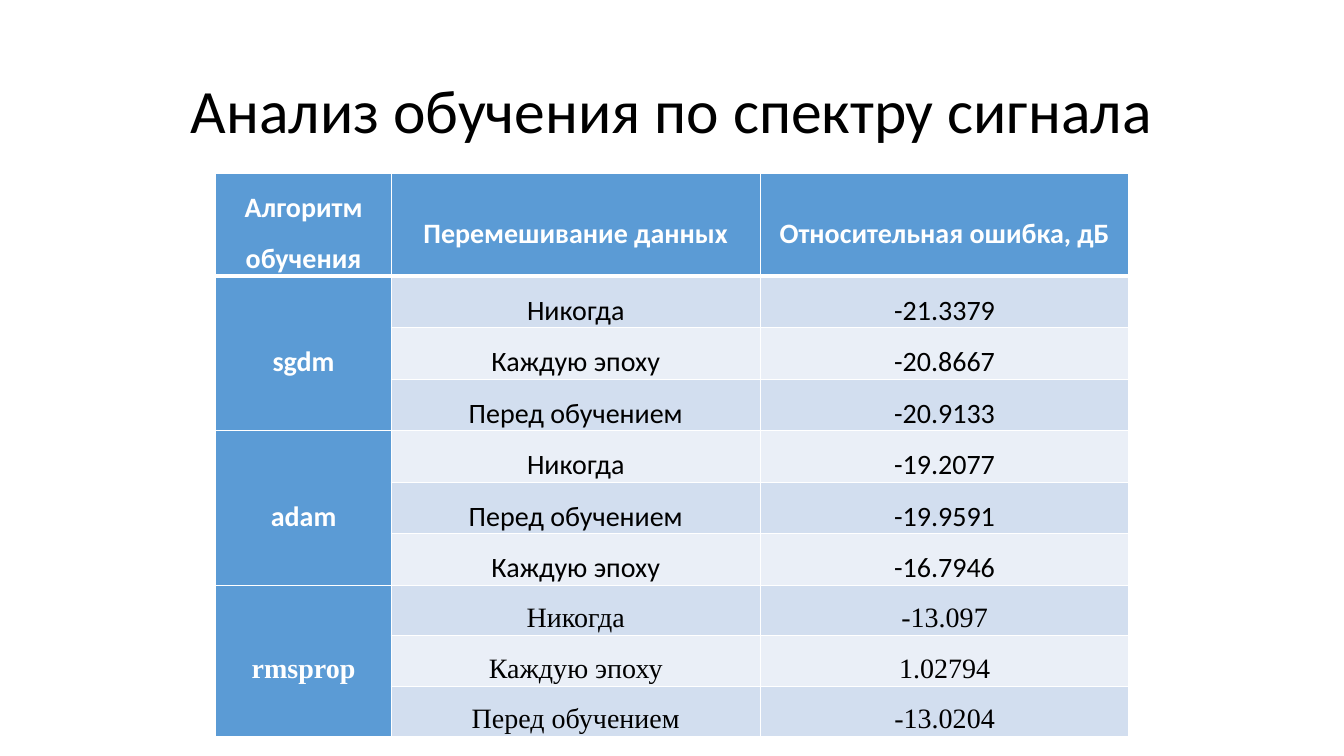
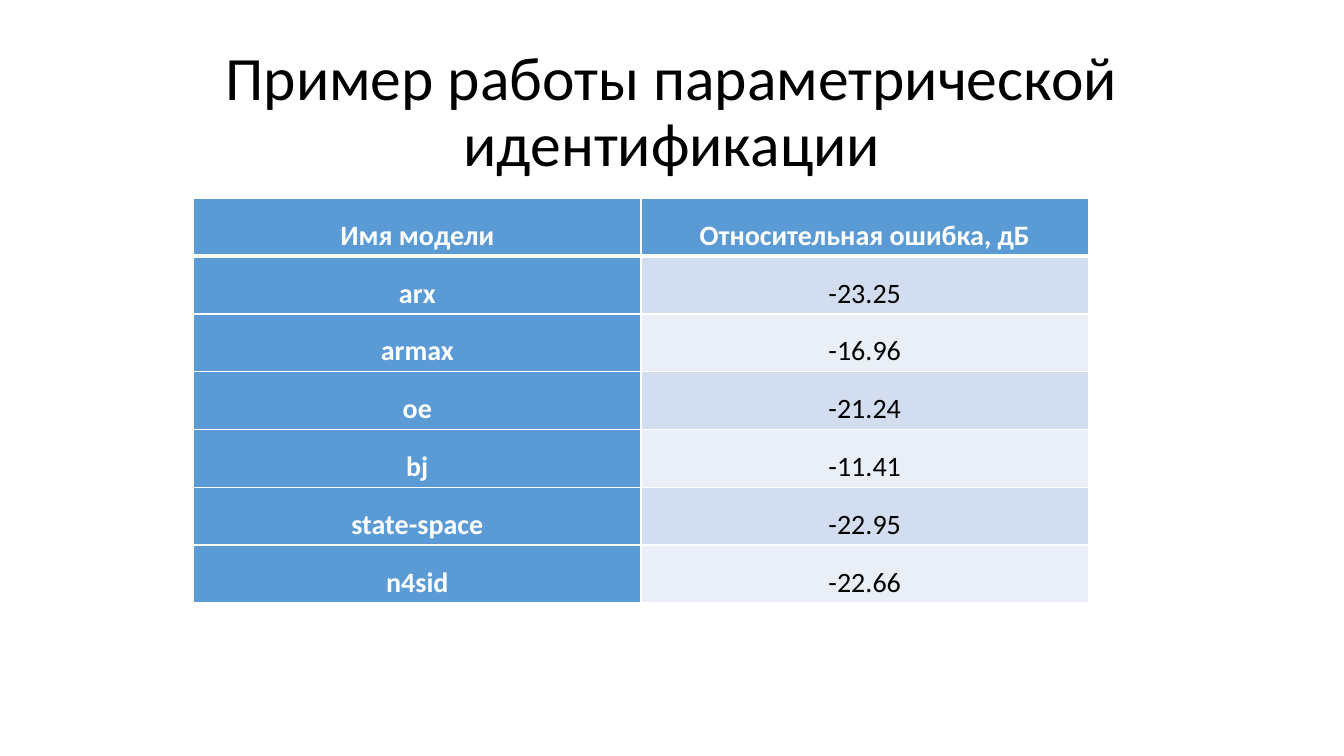
from lxml import etree
from pptx import Presentation
from pptx.dml.color import RGBColor
from pptx.enum import text
from pptx.oxml import ns
from pptx.util import Pt

WHITE, BLACK, BLUE = "FFFFFF", "000000", "5B9BD5"
BANDS = ["EAEFF7", "D2DEEF"]
SANS, SERIF = "Calibri", "Times New Roman"
ERROR = "Относительная ошибка, дБ"
NEVER, EPOCH, BEFORE = "Никогда", "Каждую эпоху", "Перед обучением"

TRAINING = [
    ["Алгоритм обучения", "Перемешивание данных", ERROR],
    ["sgdm", NEVER, "-21.3379"],
    ["", EPOCH, "-20.8667"],
    ["", BEFORE, "-20.9133"],
    ["adam", NEVER, "-19.2077"],
    ["", BEFORE, "-19.9591"],
    ["", EPOCH, "-16.7946"],
    ["rmsprop", NEVER, "-13.097"],
    ["", EPOCH, "1.02794"],
    ["", BEFORE, "-13.0204"],
]
MODELS = [
    ["Имя модели", ERROR],
    ["arx", "-23.25"],
    ["armax", "-16.96"],
    ["oe", "-21.24"],
    ["bj", "-11.41"],
    ["state-space", "-22.95"],
    ["n4sid", "-22.66"],
]


def color(code):
    return RGBColor.from_string(code)


def style(para, size, font, code, bold, space):
    para.alignment = text.PP_ALIGN.CENTER
    para.line_spacing = space
    para.font.size = Pt(size)
    para.font.name = font
    para.font.bold = bold
    para.font.color.rgb = color(code)


def add_title(slide, words):
    box = slide.shapes.add_textbox(Pt(66), Pt(28.75), Pt(828), Pt(104.4))
    frame = box.text_frame
    frame.word_wrap = True
    frame.vertical_anchor = text.MSO_ANCHOR.MIDDLE
    frame.text = words
    style(frame.paragraphs[0], 44, SANS, BLACK, False, 0.9)


def add_border(cell, side, width):
    props = cell._tc.get_or_add_tcPr()
    line = etree.SubElement(props, ns.qn(f"a:ln{side}"), w=str(Pt(width)))
    fill = etree.SubElement(line, ns.qn("a:solidFill"))
    etree.SubElement(fill, ns.qn("a:srgbClr"), val=WHITE)


def fill_cell(cell, words, row, col, font):
    head = row == 0 or col == 0
    widths = {"L": 1, "R": 1, "T": 3 if row == 1 else 1, "B": 3 if row == 0 else 1}
    for side, width in widths.items():
        add_border(cell, side, width)
    cell.fill.solid()
    cell.fill.fore_color.rgb = color(BLUE if head else BANDS[row % 2])
    cell.margin_left = cell.margin_right = Pt(5.4)
    cell.margin_top = cell.margin_bottom = 0
    cell.vertical_anchor = text.MSO_ANCHOR.MIDDLE
    cell.text = words
    style(cell.text_frame.paragraphs[0], 20, font, WHITE if head else BLACK, head, 1.5)


def add_grid(slide, data, left, top, widths, heights, fonts):
    frame = slide.shapes.add_table(len(data), len(widths), Pt(left), Pt(top),
                                   Pt(sum(widths)), Pt(sum(heights)))
    table = frame.table
    for col, width in zip(table.columns, widths):
        col.width = Pt(width)
    for row, height in zip(table.rows, heights):
        row.height = Pt(height)
    for row, line in enumerate(data):
        for col, words in enumerate(line):
            fill_cell(table.cell(row, col), words, row, col, fonts[row])
    return table


def main():
    deck = Presentation()
    deck.slide_width, deck.slide_height = Pt(960), Pt(540)
    blank = deck.slide_layouts[6]

    slide = deck.slides.add_slide(blank)
    add_title(slide, "Анализ обучения по спектру сигнала")
    table = add_grid(slide, TRAINING, 154.2, 123.9, [125.3, 263.5, 263.5],
                     [73.5] + [36.8] * 6 + [33.4] * 3, [SANS] * 7 + [SERIF] * 3)
    for row in range(1, len(TRAINING), 3):
        table.cell(row, 0).merge(table.cell(row + 2, 0))

    slide = deck.slides.add_slide(blank)
    add_title(slide, "Пример работы параметрической идентификации")
    count = len(MODELS)
    add_grid(slide, MODELS, 138.3, 141.7, [319.6] * 2, [41.3] * count, [SANS] * count)

    deck.save("out.pptx")


if __name__ == "__main__":
    main()
